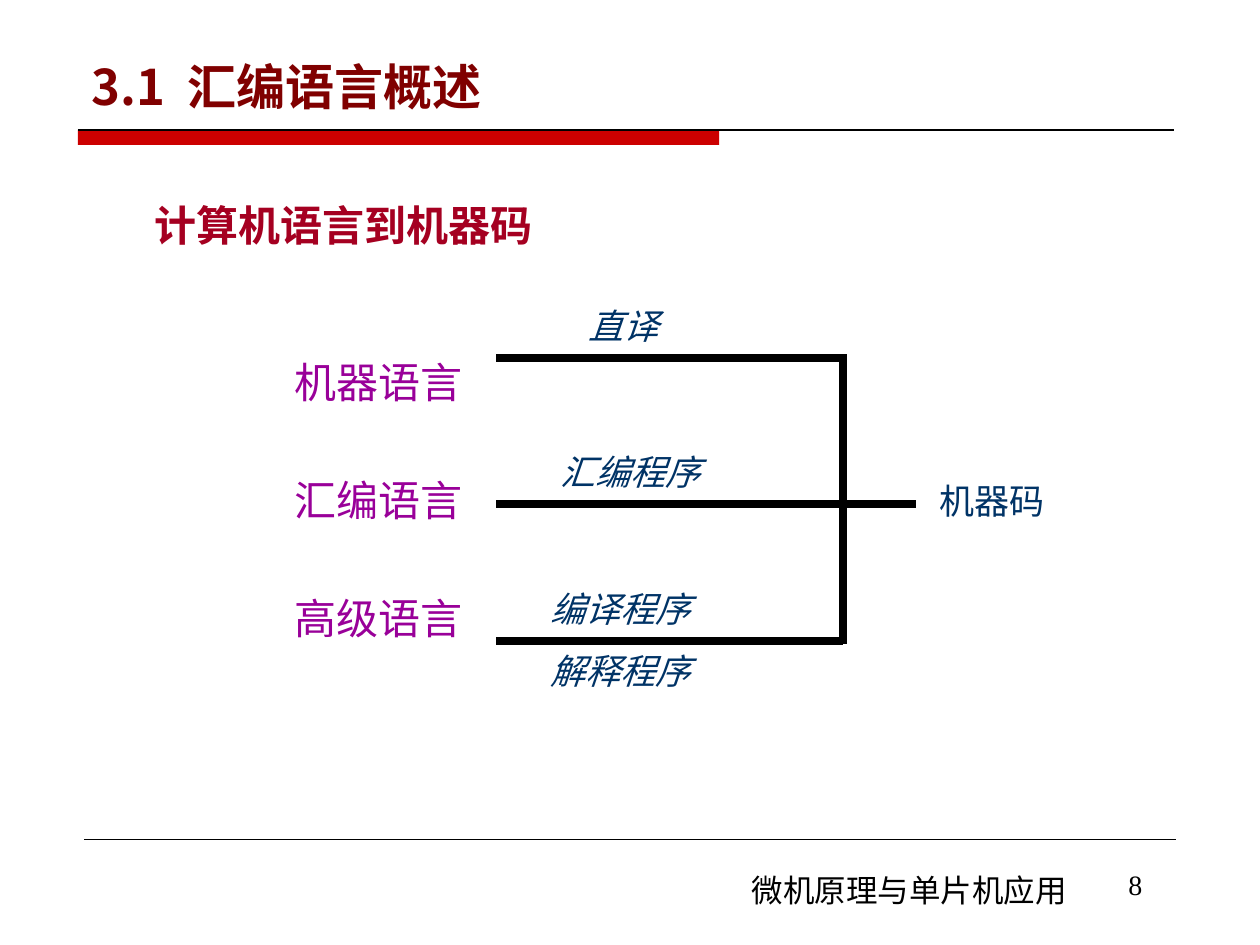
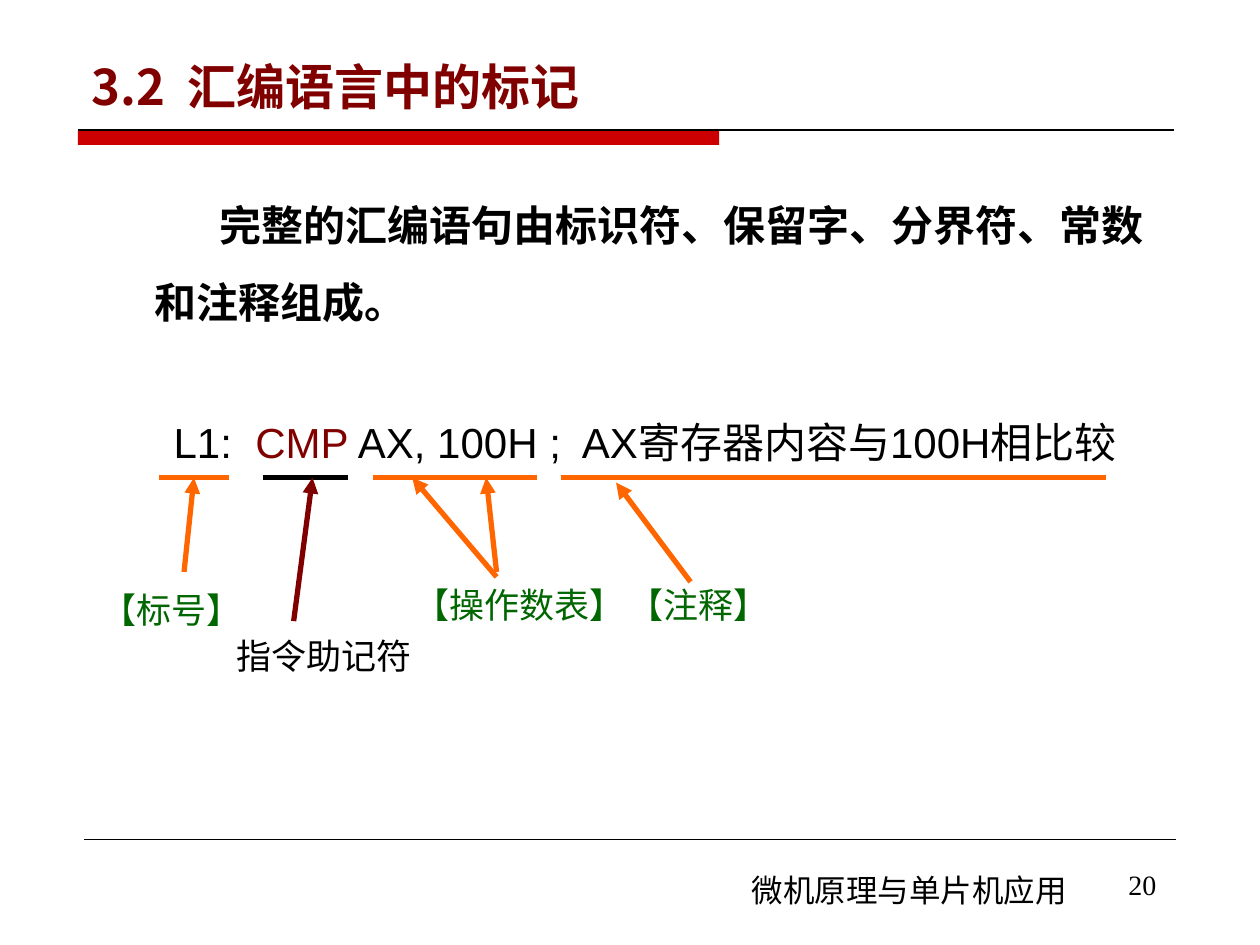
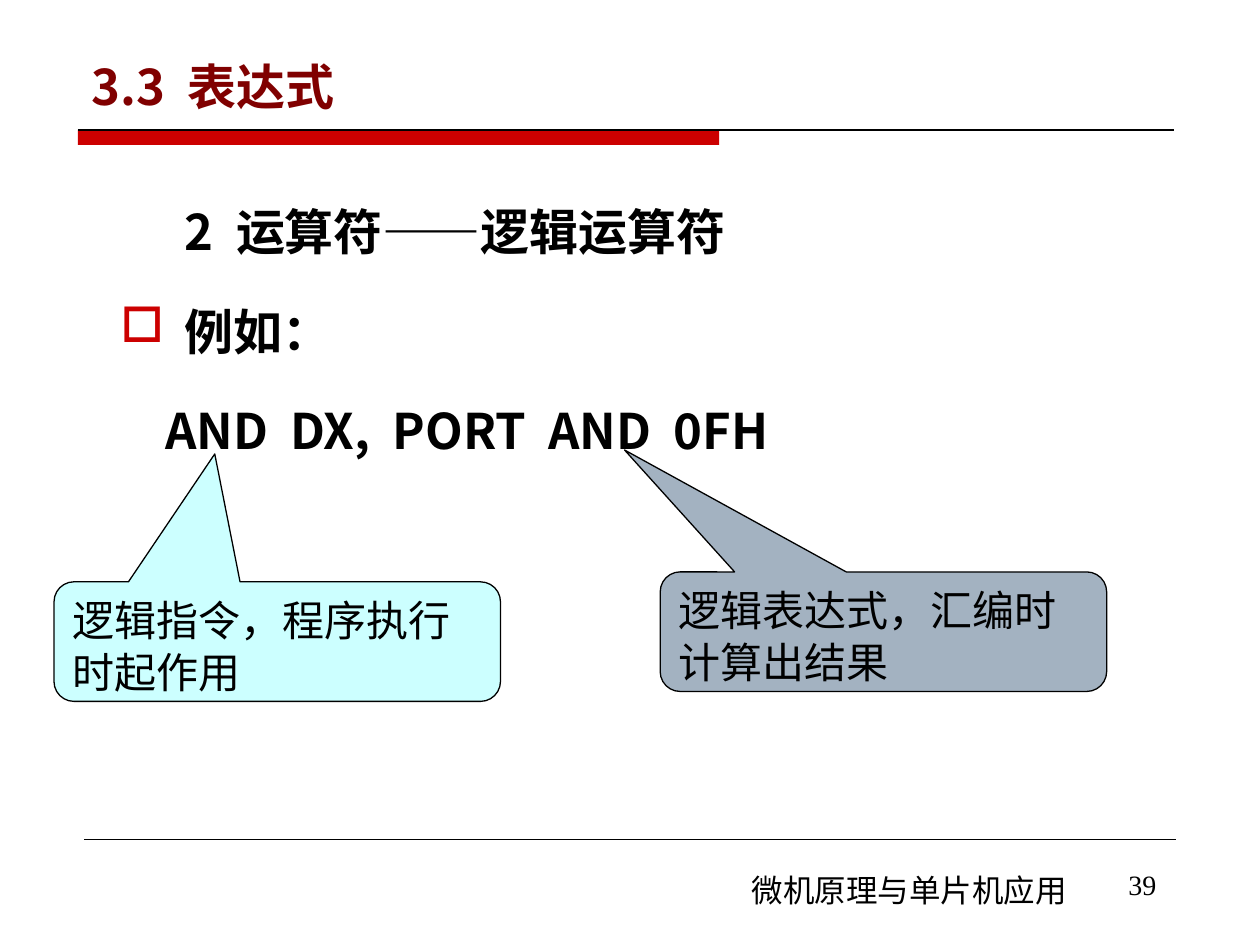
from lxml.etree import SubElement
from pptx import Presentation
from pptx.dml.color import RGBColor
from pptx.enum.shapes import MSO_CONNECTOR, MSO_SHAPE
from pptx.enum.text import MSO_ANCHOR, PP_ALIGN
from pptx.oxml.ns import qn
from pptx.util import Cm, Pt

CJK = "Noto Sans CJK SC"
CJK_LABEL = "Noto Sans CJK KR"
LINE_HEIGHT = 1.22

BLACK = "000000"
RED = "CC0000"
MAROON = "800000"
CRIMSON = "A50021"
PURPLE = "990099"
NAVY = "003366"
GREEN = "006600"
ORANGE = "FF6600"
CYAN = "CCFFFF"
SLATE = "A3B2C1"


def color(hex_string):
    return RGBColor.from_string(hex_string)


def format_run(run, size, font, hex_color, bold=False, italic=False):
    run.font.size = Pt(size)
    run.font.bold = bold
    run.font.italic = italic
    run.font.color.rgb = color(hex_color)
    run.font.name = font
    east_asian = SubElement(run.font._element, qn("a:ea"))
    east_asian.set("typeface", CJK if font == "Arial" else font)


def format_paragraph(paragraph, size, font, hex_color, spacing=1, **style):
    paragraph.alignment = PP_ALIGN.LEFT
    paragraph.line_spacing = Pt(round(size * LINE_HEIGHT * spacing, 1))
    for run in paragraph.runs:
        format_run(run, size, font, hex_color, **style)


def indent_paragraph(paragraph, left, first_line):
    properties = paragraph._p.get_or_add_pPr()
    properties.set("marL", str(Cm(left)))
    properties.set("indent", str(Cm(first_line)))


def add_bullet(paragraph, character, hex_color):
    properties = paragraph._p.get_or_add_pPr()
    bullet_color = SubElement(properties, qn("a:buClr"))
    SubElement(bullet_color, qn("a:srgbClr")).set("val", hex_color)
    SubElement(properties, qn("a:buChar")).set("char", character)


def add_text(slide, box, text, size, font=CJK, hex_color=BLACK, **style):
    """Add a text box with one paragraph per line of text."""
    shape = slide.shapes.add_textbox(*map(Cm, box))
    frame = shape.text_frame
    frame.word_wrap = True
    frame.text = text
    for paragraph in frame.paragraphs:
        format_paragraph(paragraph, size, font, hex_color, **style)
    return frame


def add_line(slide, start, end, hex_color, width, arrow=False):
    line = slide.shapes.add_connector(
        MSO_CONNECTOR.STRAIGHT, *map(Cm, (*start, *end)))
    line.line.color.rgb = color(hex_color)
    line.line.width = Pt(width)
    if arrow:
        outline = line.line._get_or_add_ln()
        SubElement(outline, qn("a:tailEnd")).set("type", "triangle")
    SubElement(line._element.spPr, qn("a:effectLst"))


def add_callout(slide, left, top, pointer, fill, text):
    shape = slide.shapes.add_shape(
        MSO_SHAPE.ROUNDED_RECTANGULAR_CALLOUT,
        Cm(left), Cm(top), Cm(9), Cm(2.41))
    shape.shadow.inherit = False
    shape.adjustments[0], shape.adjustments[1] = pointer
    shape.fill.solid()
    shape.fill.fore_color.rgb = color(fill)
    shape.line.color.rgb = color(BLACK)
    shape.line.width = Pt(0.75)
    frame = shape.text_frame
    frame.word_wrap = True
    frame.vertical_anchor = MSO_ANCHOR.TOP
    frame.text = text
    format_paragraph(frame.paragraphs[0], 24, "Arial", BLACK)


def add_lecture_slide(presentation, title, number):
    """Add a slide with the shared title, red band and footer."""
    slide = presentation.slides.add_slide(presentation.slide_layouts[6])
    band = slide.shapes.add_shape(
        MSO_SHAPE.RECTANGLE, Cm(1.57), Cm(2.62), Cm(12.93), Cm(0.3))
    band.shadow.inherit = False
    band.fill.solid()
    band.fill.fore_color.rgb = color(RED)
    band.line.fill.background()
    add_line(slide, (1.57, 2.62), (23.67, 2.62), BLACK, 0.75)
    add_line(slide, (1.7, 16.92), (23.7, 16.92), BLACK, 0.25)
    heading = add_text(slide, (1.6, 0.58, 22.23, 1.88), title, 28,
                       hex_color=MAROON, bold=True)
    heading.vertical_anchor = MSO_ANCHOR.BOTTOM
    add_text(slide, (14.91, 17.42, 7.2, 1.02), "微机原理与单片机应用", 18)
    add_text(slide, (22.5, 17.35, 2, 1.32), number, 16, "Times New Roman")
    return slide


def build_translation_slide(presentation):
    slide = add_lecture_slide(presentation, "3.1  汇编语言概述", "8")
    add_text(slide, (2.87, 3.36, 20.9, 2), "计算机语言到机器码", 24,
             hex_color=CRIMSON, bold=True, spacing=1.5)

    languages = add_text(slide, (5.69, 7.05, 4.47, 6.2),
                         "机器语言\n汇编语言\n高级语言", 24, CJK_LABEL, PURPLE)
    for paragraph in languages.paragraphs:
        paragraph.space_after = Pt(38)

    branch_left, trunk, output = 10, 17, 18.47
    for y, right in ((7.21, trunk), (10.16, output), (12.93, trunk)):
        add_line(slide, (branch_left, y), (right, y), BLACK, 4.5)
    add_line(slide, (trunk, 7.14), (trunk, 12.98), BLACK, 4.5)

    translators = (
        (11.61, 6, "直译"),
        (11.05, 8.95, "汇编程序"),
        (10.85, 11.7, "编译程序"),
        (10.85, 12.95, "解释程序"),
    )
    for left, top, name in translators:
        add_text(slide, (left, top, 5.08, 1.27), name, 20, CJK_LABEL, NAVY,
                 italic=True)
    add_text(slide, (18.69, 9.53, 3.89, 1.27), "机器码", 20, CJK_LABEL, NAVY)


def build_statement_slide(presentation):
    slide = add_lecture_slide(presentation, "3.2  汇编语言中的标记", "20")
    body = add_text(slide, (2.87, 3.36, 20.9, 4),
                    "完整的汇编语句由标识符、保留字、分界符、常数和注释组成。",
                    24, bold=True, spacing=1.5)
    indent_paragraph(body.paragraphs[0], 0, 1.31)

    statement = add_text(slide, (3.25, 8.15, 20.8, 1.8), "L1:  ", 24, "Arial",
                         spacing=1.1).paragraphs[0]
    for text, hex_color in (("CMP", MAROON),
                            (" AX, 100H ;  AX寄存器内容与100H相比较", BLACK)):
        run = statement.add_run()
        run.text = text
        format_run(run, 24, "Arial", hex_color)

    underline = 9.63
    for left, right, hex_color in ((3.2, 4.62, ORANGE), (5.31, 7.01, BLACK),
                                   (7.52, 10.82, ORANGE),
                                   (11.3, 22.3, ORANGE)):
        add_line(slide, (left, underline), (right, underline), hex_color, 3)

    arrows = (
        ((3.71, 11.53), (3.91, underline), ORANGE),
        ((5.92, 12.52), (6.3, underline), MAROON),
        ((10.01, 11.63), (8.31, underline), ORANGE),
        ((10.01, 11.53), (9.8, underline), ORANGE),
        ((13.92, 11.73), (12.42, 9.73), ORANGE),
    )
    for start, end, hex_color in arrows:
        add_line(slide, start, end, hex_color, 3, arrow=True)

    labels = (
        (1.8, 11.73, "【标号】", GREEN),
        (4.52, 12.65, "指令助记符", BLACK),
        (8.1, 11.63, "【操作数表】", GREEN),
        (12.42, 11.63, "【注释】", GREEN),
    )
    for left, top, name, hex_color in labels:
        add_text(slide, (left, top, 5.5, 1.1), name, 20, CJK_LABEL, hex_color)


def build_operator_slide(presentation):
    slide = add_lecture_slide(presentation, "3.3  表达式", "39")
    body = add_text(
        slide, (2.18, 3.32, 22.23, 6),
        "2  运算符——逻辑运算符\n例如：\nAND  DX,  PORT  AND  0FH",
        28, bold=True, spacing=1.5)
    heading, example, code = body.paragraphs
    for paragraph in body.paragraphs:
        paragraph.space_after = Pt(5.6)
    indent_paragraph(heading, 1.3, 0)
    indent_paragraph(example, 1.3, -1.3)
    indent_paragraph(code, 0.9, 0)
    add_bullet(example, "□", RED)

    add_callout(slide, 13.31, 11.53, (-0.58, -1.52), SLATE,
                "逻辑表达式，汇编时计算出结果")
    add_callout(slide, 1.09, 11.73, (-0.14, -1.57), CYAN,
                "逻辑指令，程序执行时起作用")


def main():
    presentation = Presentation()
    presentation.slide_width = Cm(25.4)
    presentation.slide_height = Cm(19.05)
    build_translation_slide(presentation)
    build_statement_slide(presentation)
    build_operator_slide(presentation)
    presentation.save("out.pptx")


if __name__ == "__main__":
    main()
